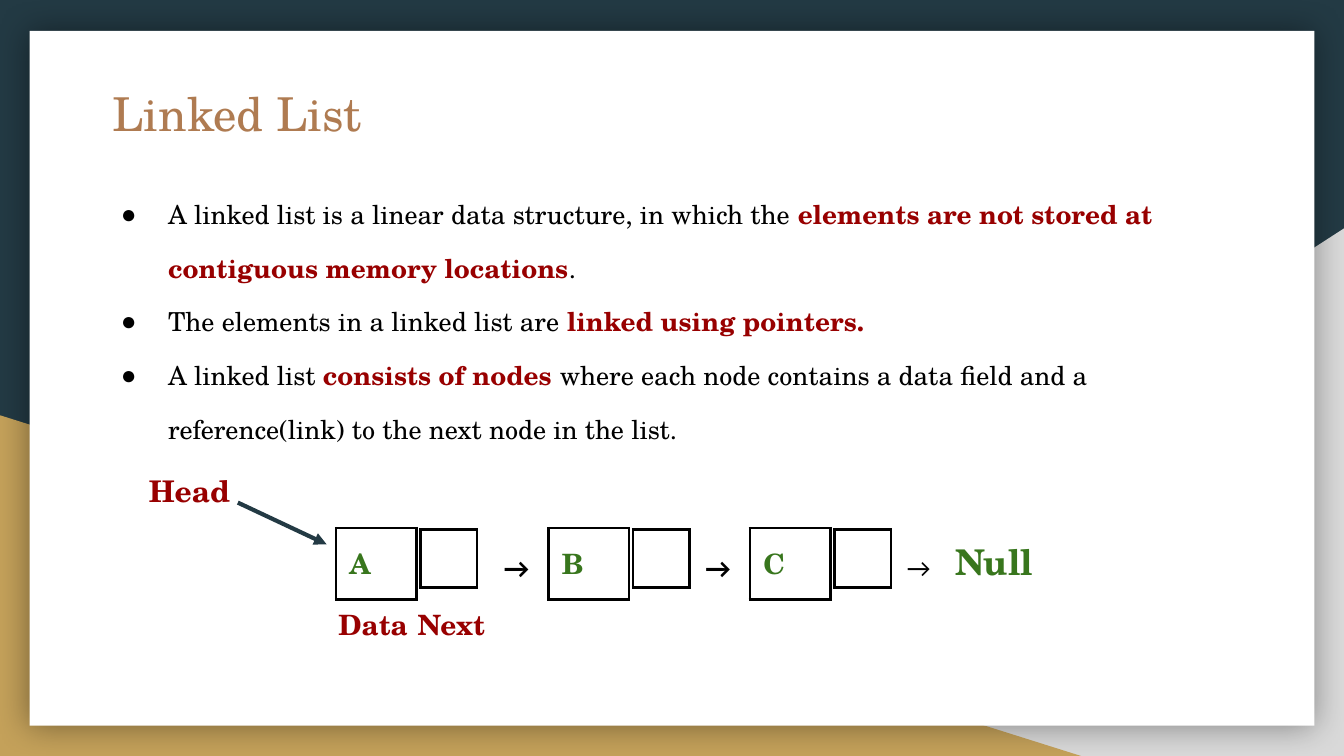
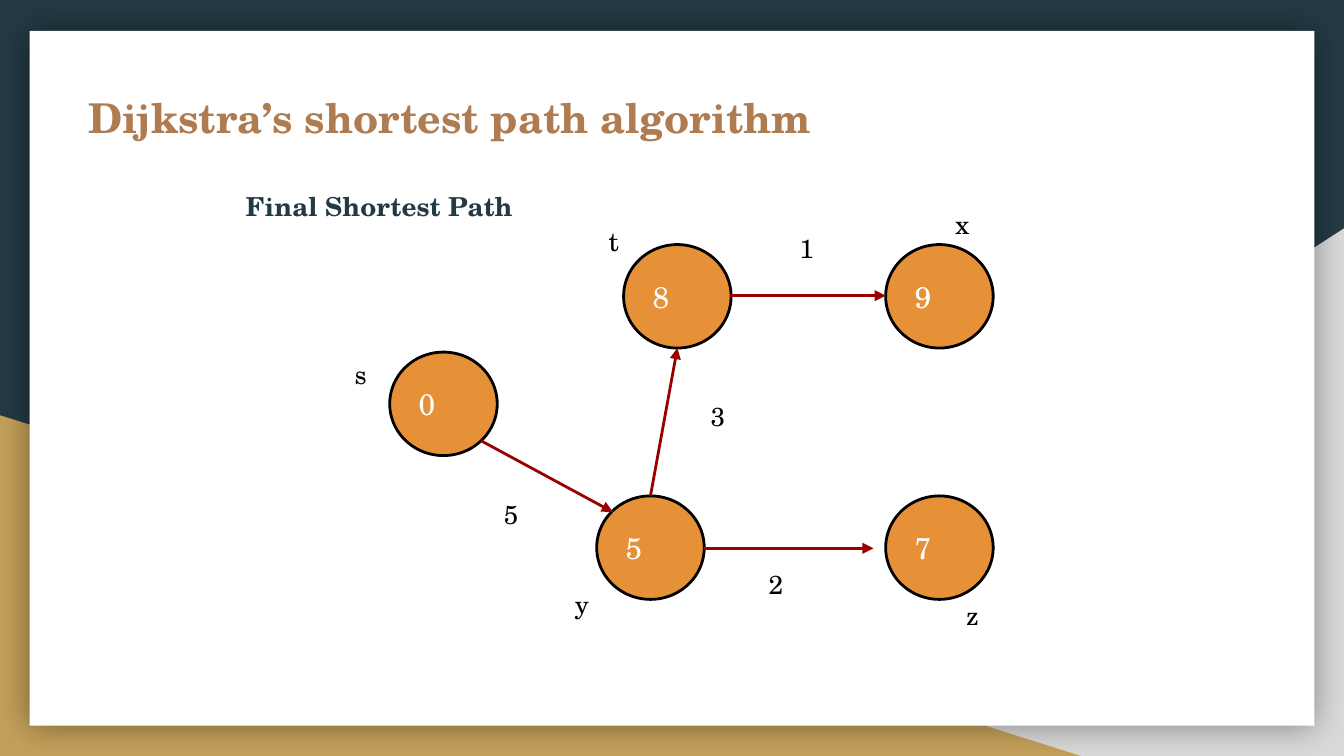
"""Build two slides on linked lists and Dijkstra's algorithm."""
from dataclasses import dataclass
from typing import NamedTuple

from lxml.etree import SubElement
from pptx import Presentation
from pptx.dml.color import RGBColor as Rgb
from pptx.enum.shapes import MSO_CONNECTOR as Line, MSO_SHAPE as Kind
from pptx.enum.text import MSO_ANCHOR as Anchor, MSO_AUTO_SIZE as Fit, PP_ALIGN as Align
from pptx.oxml.ns import qn
from pptx.presentation import Presentation as Deck
from pptx.shapes.autoshape import Shape
from pptx.slide import Slide
from pptx.text.text import Font, TextFrame
from pptx.util import Inches, Length, Pt


@dataclass(frozen=True)
class Theme:
    """Colours, fonts and type sizes."""
    navy: str = "233A44"
    grey: str = "D9D9D9"
    gold: str = "C4A15A"
    brown: str = "AF7B51"
    red: str = "980000"
    green: str = "38761D"
    orange: str = "E69138"
    black: str = "000000"
    white: str = "FFFFFF"
    serif: str = "TeX Gyre Schola"
    sans: str = "Calibri"
    title: int = 25
    subtitle: int = 22
    null: int = 19
    value: int = 16
    cell: int = 15
    text: int = 14
    blank: int = 10


T = Theme()


class Box(NamedTuple):
    """Left, top, width and height in inches."""
    left: float
    top: float
    width: float
    height: float

    def size(self) -> list[Length]:
        """Return the four lengths."""
        return [Inches(n) for n in self]


class Label(NamedTuple):
    """A line of text in a box."""
    text: str
    box: Box
    size: int = T.text
    color: str = T.black
    bold: bool = False
    face: str = T.serif


class Node(NamedTuple):
    """A graph node and its distance."""
    dist: str
    left: float
    top: float


class Edge(NamedTuple):
    """An arrow between two points."""
    start: tuple[float, float]
    end: tuple[float, float]
    color: str = T.red
    width: float = 1.5


POINTS = [
    [("A linked list is a linear data structure, in which the ", False),
     ("elements are not stored at contiguous memory locations", True), (".", False)],
    [("The elements in a linked list are ", False), ("linked using pointers.", True)],
    [("A linked list ", False), ("consists of nodes ", True),
     ("where each node contains a data field and a reference(link) "
      "to the next node in the list.", False)],
]
CELLS = [("A", 2.5), ("B", 4.08), ("C", 5.58)]
MARKS = [
    *(Label("→", Box(x, 4, 0.42, 0.43), T.cell, bold=True, face=T.sans)
      for x in (3.65, 5.15)),
    Label("→", Box(6.65, 4, 0.42, 0.43), face=T.sans),
    Label("Head", Box(1.01, 3.42, 1.37, 0.23), T.value, T.red, True),
    Label("Data", Box(2.42, 4.42, 1.37, 0.23), T.cell, T.red, True),
    Label("Next", Box(3.01, 4.42, 1.37, 0.23), T.cell, T.red, True),
    Label("Null", Box(7.01, 3.92, 1.37, 0.23), T.null, T.green, True),
]
NODES = [Node("0", 2.9, 2.62), Node("8", 4.64, 1.82), Node("9", 6.59, 1.82),
         Node("5", 4.44, 3.69), Node("7", 6.59, 3.69)]
EDGES = [Edge((3.58, 3.28), (4.56, 3.81), "990000"), Edge((5.43, 2.2), (6.59, 2.2)),
         Edge((5.24, 4.08), (6.5, 4.08)), Edge((4.84, 3.69), (5.04, 2.59))]
NAMES = [
    Label("s", Box(2.54, 2.57, 0.63, 0.61)),
    Label("t", Box(4.43, 1.58, 0.22, 0.38)),
    Label("y", Box(4.18, 4.28, 0.63, 0.61)),
    Label("z", Box(7.09, 4.36, 0.63, 0.61)),
    Label("x", Box(7.01, 1.45, 0.63, 0.61)),
    Label("5", Box(3.65, 3.61, 0.42, 0.61)),
    Label("1", Box(5.85, 1.63, 0.42, 0.38)),
    Label("2", Box(5.62, 4.13, 0.33, 0.61)),
    Label("3", Box(5.19, 2.88, 0.33, 0.61)),
    Label("Final Shortest Path", Box(1.73, 1.32, 2.24, 0.77), color=T.navy, bold=True),
]


def style(font: Font, size: int, color: str, bold: bool = False, face: str = T.serif) -> None:
    """Set the look of a font."""
    font.name, font.size, font.bold = face, Pt(size), bold
    font.color.rgb = Rgb.from_string(color)


def prep(frame: TextFrame, anchor: Anchor = Anchor.TOP) -> None:
    """Set margins, wrap and anchor."""
    frame.auto_size = Fit.NONE
    frame.word_wrap, frame.vertical_anchor = True, anchor
    frame.margin_left = frame.margin_right = Inches(0.1)
    frame.margin_top = frame.margin_bottom = Inches(0.1)


def write(frame: TextFrame, item: Label, anchor: Anchor = Anchor.TOP) -> None:
    """Put one left-aligned line in a frame."""
    prep(frame, anchor)
    para = frame.paragraphs[0]
    para.text, para.alignment = item.text, Align.LEFT
    style(para.font, item.size, item.color, item.bold, item.face)


def place(shape: Shape, box: Box) -> None:
    """Move and size a shape."""
    shape.left, shape.top, shape.width, shape.height = box.size()


def add_label(slide: Slide, item: Label) -> None:
    """Add a text box."""
    write(slide.shapes.add_textbox(*item.box.size()).text_frame, item)


def add_title(slide: Slide, item: Label) -> None:
    """Fill the title."""
    place(slide.shapes.title, item.box)
    write(slide.shapes.title.text_frame, item)


def add_shape(slide: Slide, kind: Kind, box: Box, fill: str) -> Shape:
    """Add a flat shape with no line."""
    shape = slide.shapes.add_shape(kind, *box.size())
    shape.shadow.inherit = False
    shape.fill.solid()
    shape.fill.fore_color.rgb = Rgb.from_string(fill)
    shape.line.fill.background()
    return shape


def add_edge(slide: Slide, edge: Edge) -> None:
    """Add an arrow."""
    ends = [Inches(n) for n in (*edge.start, *edge.end)]
    line = slide.shapes.add_connector(Line.STRAIGHT, *ends)
    line.line.color.rgb = Rgb.from_string(edge.color)
    line.line.width = Pt(edge.width)
    SubElement(line.line._get_or_add_ln(), qn("a:tailEnd"), type="triangle")
    SubElement(line._element.spPr, qn("a:effectLst"))


def add_node(slide: Slide, node: Node) -> None:
    """Add a graph node."""
    box = Box(node.left, node.top, 0.8, 0.77)
    shape = add_shape(slide, Kind.OVAL, box, T.orange)
    shape.line.color.rgb = Rgb.from_string(T.black)
    shape.line.width = Pt(1.5)
    write(shape.text_frame, Label(node.dist, box, T.value, T.white), Anchor.MIDDLE)


def add_cell(slide: Slide, text: str, box: Box) -> None:
    """Add a bordered table of one cell."""
    table = slide.shapes.add_table(1, 1, *box.size()).table
    table.first_row = table.horz_banding = False
    cell = table.cell(0, 0)
    cell.margin_left = cell.margin_right = Inches(0.1)
    cell.margin_top = cell.margin_bottom = Inches(0.1)
    para = cell.text_frame.paragraphs[0]
    para.text = text
    style(para.font, T.cell if text else T.blank, T.green, True)
    props = cell._tc.get_or_add_tcPr()
    for side in "LRTB":
        edge = SubElement(props, qn(f"a:ln{side}"), w=str(Pt(1.5)))
        SubElement(SubElement(edge, qn("a:solidFill")), qn("a:srgbClr"), val=T.black)
    cell.fill.background()


def add_points(slide: Slide, box: Box) -> None:
    """Fill the body with bullets."""
    body = slide.placeholders[1]
    place(body, box)
    frame = body.text_frame
    prep(frame)
    for i, point in enumerate(POINTS):
        para = frame.add_paragraph() if i else frame.paragraphs[0]
        para.line_spacing, para.space_before = 1.71, Pt(0)
        props = para._p.get_or_add_pPr()
        props.set("marL", str(Inches(0.5)))
        props.set("indent", str(Inches(-0.35)))
        SubElement(SubElement(props, qn("a:buClr")), qn("a:srgbClr"), val=T.black)
        SubElement(props, qn("a:buChar"), char="●")
        style(para.font, T.text, T.black)
        for text, key in point:
            run = para.add_run()
            run.text = text
            if key:
                run.font.bold = True
                run.font.color.rgb = Rgb.from_string(T.red)


def set_master(deck: Deck, slide: Slide) -> None:
    """Draw the shared backdrop and move it to the master."""
    master = deck.slide_master
    master.background.fill.solid()
    master.background.fill.fore_color.rgb = Rgb.from_string(T.navy)
    right = add_shape(slide, Kind.RIGHT_TRIANGLE, Box(3.92, 1.7, 6.08, 3.93), T.grey)
    right._element.spPr.xfrm.set("flipH", "1")
    left = add_shape(slide, Kind.RIGHT_TRIANGLE, Box(0, 3.09, 8.06, 2.54), T.gold)
    card = add_shape(slide, Kind.RECTANGLE, Box(0.22, 0.23, 9.56, 5.17), T.white)
    glow = SubElement(card._element.spPr.find(qn("a:effectLst")), qn("a:outerShdw"),
                      blurRad=str(Pt(18)), algn="ctr", rotWithShape="0")
    tint = SubElement(glow, qn("a:srgbClr"), val=T.black)
    SubElement(tint, qn("a:alpha"), val="40000")
    for i, shape in enumerate((right, left, card)):
        shape._element.nvSpPr.cNvPr.set("id", str(20 + i))
        master.shapes._spTree.insert(2 + i, shape._element)


def list_slide(slide: Slide) -> None:
    """Draw the linked list."""
    add_title(slide, Label("Linked List", Box(0.74, 0.53, 8.18, 0.69), T.title, T.brown))
    add_points(slide, Box(0.65, 1.21, 8.18, 1.65))
    for text, left in CELLS:
        add_cell(slide, text, Box(left, 3.93, 0.6, 0.53))
        add_cell(slide, "", Box(left + 0.63, 3.94, 0.42, 0.43))
    for mark in MARKS:
        add_label(slide, mark)
    add_edge(slide, Edge((1.77, 3.74), (2.43, 4.05), T.navy, 2.25))


def path_slide(slide: Slide) -> None:
    """Draw the shortest paths."""
    add_title(slide, Label("Dijkstra’s shortest path algorithm",
                           Box(0.56, 0.59, 8.21, 0.28), T.subtitle, T.brown, True))
    for node in NODES:
        add_node(slide, node)
    for edge in EDGES:
        add_edge(slide, edge)
    for name in NAMES:
        add_label(slide, name)


def main() -> None:
    """Build and save the deck."""
    deck = Presentation()
    deck.slide_width = Inches(10)
    deck.slide_height = deck.slide_width * 9 // 16
    first = deck.slides.add_slide(deck.slide_layouts[1])
    set_master(deck, first)
    list_slide(first)
    path_slide(deck.slides.add_slide(deck.slide_layouts[5]))
    deck.save("out.pptx")


if __name__ == "__main__":
    main()
